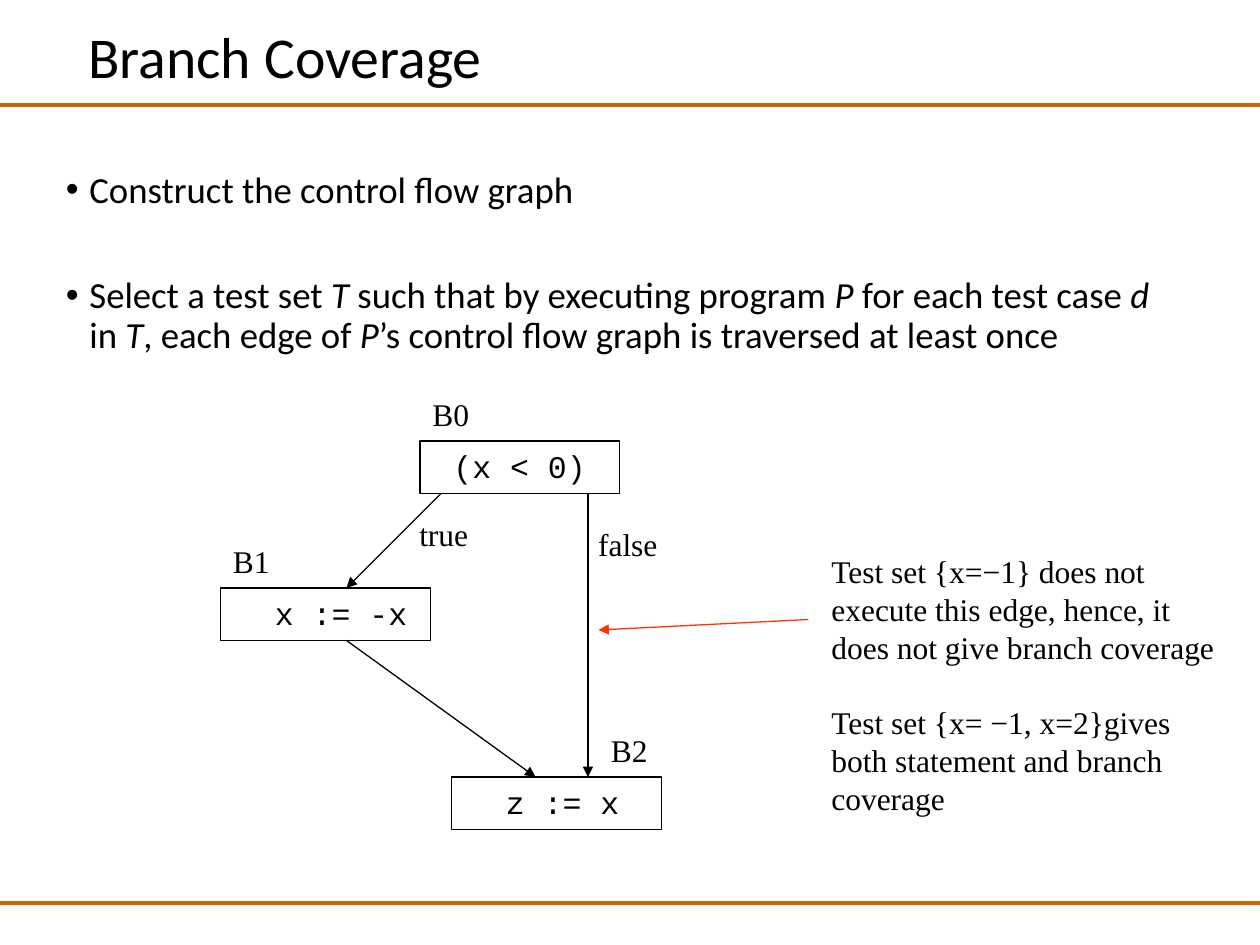
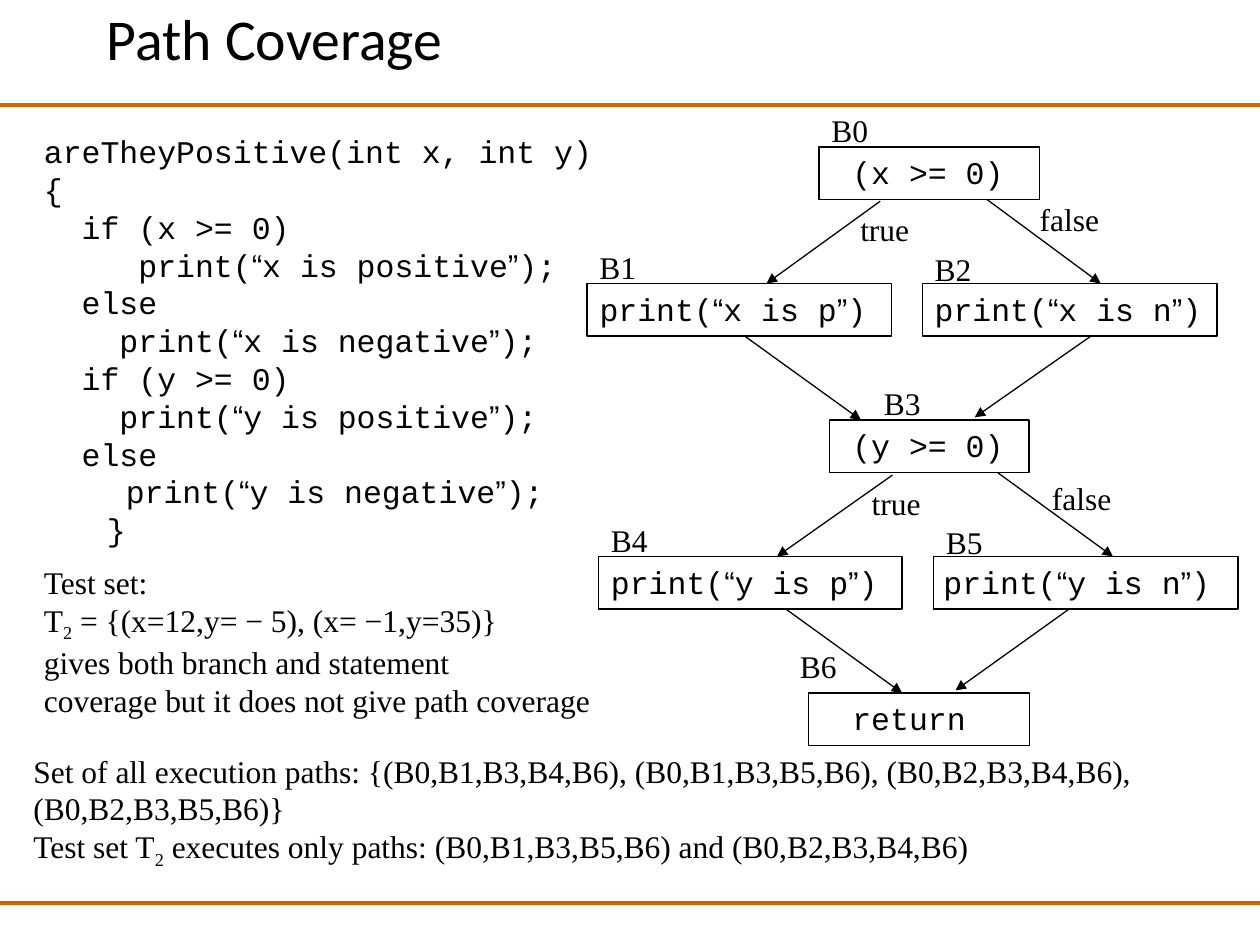
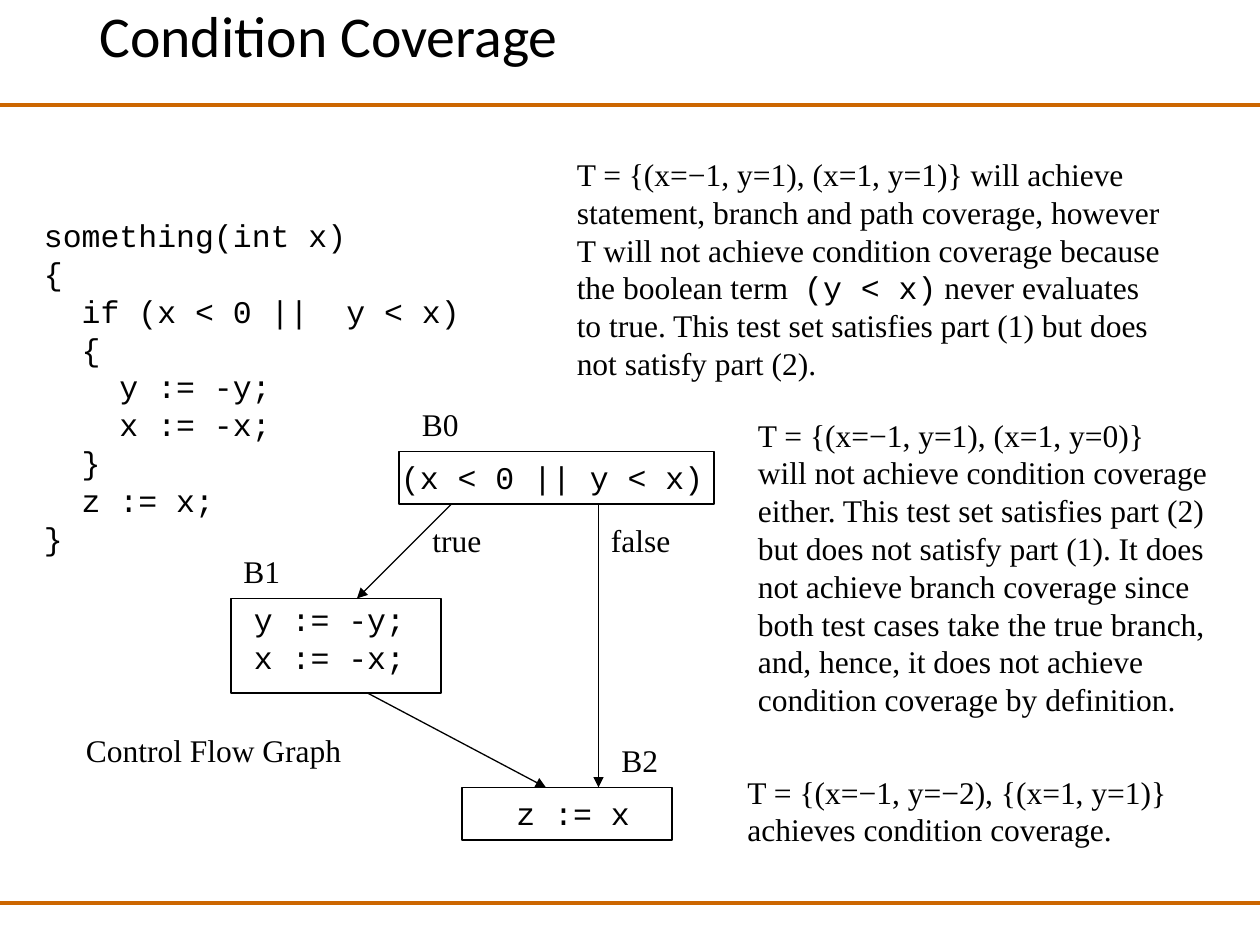
from itertools import groupby

from lxml import etree
from pptx import Presentation
from pptx.dml.color import RGBColor
from pptx.enum.shapes import MSO_CONNECTOR, MSO_SHAPE
from pptx.enum.text import MSO_ANCHOR, MSO_AUTO_SIZE
from pptx.oxml.ns import qn
from pptx.util import Pt

STRAIGHT, RECTANGLE = MSO_CONNECTOR.STRAIGHT, MSO_SHAPE.RECTANGLE
MIDDLE, TOP = MSO_ANCHOR.MIDDLE, MSO_ANCHOR.TOP
GROW, FIXED = MSO_AUTO_SIZE.SHAPE_TO_FIT_TEXT, MSO_AUTO_SIZE.NONE

WIDTH, HEIGHT = 720, 540
RULE_TOPS = (60, 516)
COLORS = {"ink": "000000", "rule": "CC6600", "warning": "FF3300"}
TITLE = {"name": "Calibri", "size": Pt(33)}
BODY = {"name": "Calibri", "size": Pt(21)}
NOTE = {"name": "Times New Roman", "size": Pt(18)}
CODE = {"name": "Courier New", "size": Pt(18)}
QUOTE = {"name": "Arial"}
ITALIC = {"italic": True}
SUBSCRIPT = {"baseline": "-25000"}
TIGHT = {"line_spacing": 0.9}
LEADING = {"line_spacing": Pt(21.6)}
SUBSCRIPT_GAP = {"space_before": Pt(3)}
CHARACTER = 10.8  # advance of one code character
INSET = 7.2
NODE_HEIGHT = LABEL_HEIGHT = 30


def code_spans(text):
    """Split code into spans, with curly quotes in their own font."""
    return [("".join(part), QUOTE if quoted else {})
            for quoted, part in groupby(text, lambda letter: letter in "“”")]


def code_line(text, columns=0, margin=0):
    """Return a code paragraph indented by a number of characters."""
    return code_spans(text), {"marL": margin + columns * CHARACTER}


class Sketch:
    """Holds the deck style and draws on the current page."""

    def __init__(self):
        """Start an empty deck."""
        self.deck = Presentation()
        self.deck.slide_width, self.deck.slide_height = Pt(WIDTH), Pt(HEIGHT)
        self.page = None

    def new_page(self, title, left, top, width=620.6, height=104.4):
        """Add a page with its two rules and its title."""
        self.page = self.deck.slides.add_slide(self.deck.slide_layouts[6])
        for rule_top in RULE_TOPS:
            self.line((0, rule_top), (WIDTH, rule_top), "rule", 2)
        self.text([title], left, top, width, height, TITLE, TIGHT,
                  anchor=MIDDLE, fit=FIXED)

    def line(self, start, end, color="ink", weight=0.75):
        """Draw a straight line without shadow."""
        line = self.page.shapes.add_connector(
            STRAIGHT, *(Pt(value) for value in (*start, *end)))
        line.line.color.rgb = RGBColor.from_string(COLORS[color])
        line.line.width = Pt(weight)
        etree.SubElement(line._element.spPr, qn("a:effectLst"))
        return line

    def arrow(self, start, end, color="ink"):
        """Draw a line with a triangle at its end."""
        outline = self.line(start, end, color).line._get_or_add_ln()
        etree.SubElement(outline, qn("a:tailEnd"), type="triangle")

    def text(self, paras, left, top, width, height, font=NOTE,
             spacing=LEADING, wrap=True, anchor=TOP, fit=GROW):
        """Add a text box; a para is a string, a span list or (spans, format)."""
        box = self.page.shapes.add_textbox(Pt(left), Pt(top), Pt(width), Pt(height))
        frame = box.text_frame
        frame.word_wrap, frame.vertical_anchor, frame.auto_size = wrap, anchor, fit
        for index, content in enumerate(paras):
            para = frame.add_paragraph() if index else frame.paragraphs[0]
            spans, layout = content if isinstance(content, tuple) else (content, {})
            self.layout(para, {**spacing, **layout})
            for span in [spans] if isinstance(spans, str) else spans:
                words, change = span if isinstance(span, tuple) else (span, {})
                self.span(para, words, {**font, **change})

    def layout(self, para, values):
        """Set spacing, indents and the bullet of a paragraph."""
        for key, value in values.items():
            if key in ("marL", "indent"):
                para._p.get_or_add_pPr().set(key, str(int(Pt(value))))
            elif key != "bullet":
                setattr(para, key, value)
        if "bullet" in values:
            properties = para._p.get_or_add_pPr()
            etree.SubElement(properties, qn("a:buFont"), typeface="Arial")
            etree.SubElement(properties, qn("a:buChar"), char=values["bullet"])

    def span(self, para, words, values):
        """Add a run with its font values."""
        run = para.add_run()
        run.text = words
        run.font.color.rgb = RGBColor.from_string(COLORS["ink"])
        for key, value in values.items():
            if key == "baseline":
                run._r.get_or_add_rPr().set(key, value)
            else:
                setattr(run.font, key, value)

    def label(self, words, left, top, width=36):
        """Add a short one-line label."""
        self.text([words], left, top, width, LABEL_HEIGHT, wrap=False)

    def branches(self, true_at, false_at):
        """Label the two ways out of a decision."""
        self.label("true", *true_at, width=43)
        self.label("false", *false_at, width=49)

    def node(self, name, lines, left, top, width, height=NODE_HEIGHT,
             code_shift=(0, 0), name_shift=(0, -30)):
        """Draw a flow graph block with its code and its name."""
        box = self.page.shapes.add_shape(
            RECTANGLE, Pt(left), Pt(top), Pt(width), Pt(height))
        box.shadow.inherit = False
        box.fill.background()
        box.line.color.rgb = RGBColor.from_string(COLORS["ink"])
        box.line.width = Pt(0.75)
        code_width = max(map(len, lines)) * CHARACTER + 2 * INSET
        self.text([code_spans(line) for line in lines], left + code_shift[0],
                  top + code_shift[1], code_width, 21.6 * len(lines) + INSET,
                  CODE, wrap=False)
        self.label(name, left + name_shift[0], top + name_shift[1])


def branch_page(sketch):
    """Build the page on branch coverage."""
    sketch.new_page("Branch Coverage", 43.4, -18)
    bullet = {"bullet": "•", "marL": 13.5, "indent": -13.5}
    sketch.text([
        ("Construct the control flow graph", {**bullet, "space_before": Pt(7.5)}),
        (["Select a test set ", ("T", ITALIC), " such that by executing program",
          (" P", ITALIC), " for each test case ", ("d", ITALIC), " in ",
          ("T", ITALIC), ", each edge of ", ("P", ITALIC),
          "’s control flow graph is traversed at least once"],
         {**bullet, "space_before": Pt(37.5)}),
    ], 30.5, 94.5, 647.3, 155.5, BODY, TIGHT, fit=FIXED)
    sketch.node("B0", ["(x < 0)"], 240, 252, 114, code_shift=(12, 0))
    sketch.node("B1", ["x := -x"], 126, 336, 120, code_shift=(24, 0))
    sketch.node("B2", ["z := x"], 258, 444, 120, code_shift=(24, 0),
                name_shift=(84, -30))
    sketch.arrow((252, 282), (198, 336))
    sketch.arrow((198, 366), (306, 444))
    sketch.arrow((336, 282), (336, 444))
    sketch.arrow((462, 354), (342, 360), "warning")
    sketch.branches((232.5, 291), (334.7, 296.7))
    sketch.text([
        "Test set {x=−1} does not",
        "execute this edge, hence, it",
        "does not give branch coverage",
        ("Test set {x= −1, x=2}gives", {"space_before": Pt(21.6)}),
        "both statement and branch",
        "coverage",
    ], 468, 312, 233.3, 158.4, wrap=False)


def path_page(sketch):
    """Build the page on path coverage."""
    sketch.new_page("Path Coverage", 54, 0, 612, 48)
    sketch.text([
        code_line("areTheyPositive(int x, int y)"),
        code_line("{"),
        code_line("if (x >= 0)", 2),
        code_line("print(“x is positive”);", 5),
        code_line("else", 2),
        code_line("print(“x is negative”);", 4),
        code_line("if (y >= 0)", 2),
        code_line("print(“y is positive”);", 4),
        code_line("else", 2),
        code_line("print(“y is negative”);", 1, margin=36),
        code_line("}", margin=36),
    ], 18, 72, 360, 266.4, CODE)

    near, far = (0, -24), (0, -22.5)
    sketch.node("B0", ["(x >= 0)"], 468, 84, 126, code_shift=(12, 0), name_shift=near)
    sketch.node("B1", ["print(“x is p”)"], 335.5, 162, 174, name_shift=near)
    sketch.node("B2", ["print(“x is n”)"], 527, 162, 168.5, name_shift=far)
    sketch.node("B3", ["(y >= 0)"], 474, 240, 114, code_shift=(6, 0),
                name_shift=(24, -24))
    sketch.node("B4", ["print(“y is p”)"], 342, 318, 173.5, name_shift=near)
    sketch.node("B5", ["print(“y is n”)"], 533.5, 318, 174, code_shift=(-1.5, 0),
                name_shift=far)
    sketch.node("B6", ["return"], 462, 396, 126.5, code_shift=(18, 0),
                name_shift=(-12, -30))
    for start, end in (
            ((503, 115), (438, 162)), ((564, 114), (629, 162)),
            ((425.5, 192), (492, 240)), ((623.5, 192), (557, 238.5)),
            ((510, 271.5), (444, 318)), ((570, 270), (636, 318)),
            ((449, 348), (515.5, 396)), ((611, 348), (546, 394.5))):
        sketch.arrow(start, end)
    sketch.branches((484.5, 116.5), (587, 111))
    sketch.branches((491, 273), (594, 270))

    sketch.text([
        "Test set:",
        (["T", ("2", SUBSCRIPT), " = {(x=12,y= − 5), (x= −1,y=35)}"],
         SUBSCRIPT_GAP),
        "gives both branch and statement",
        "coverage but it does not give path coverage",
    ], 18, 318, 360, 115.2)
    sketch.text([
        "Set of all execution paths: {(B0,B1,B3,B4,B6), (B0,B1,B3,B5,B6), "
        "(B0,B2,B3,B4,B6), (B0,B2,B3,B5,B6)}",
        (["Test set T", ("2", SUBSCRIPT),
          " executes only paths: (B0,B1,B3,B5,B6) and (B0,B2,B3,B4,B6)"],
         SUBSCRIPT_GAP),
    ], 12, 426, 732, 72)


def condition_page(sketch):
    """Build the page on condition coverage."""
    sketch.new_page("Condition Coverage", 49.7, -30.2)
    sketch.text([
        code_line("something(int x)"),
        code_line("{"),
        code_line("if (x < 0 ||  y < x)", 2),
        code_line("{", 2),
        code_line("y := -y;", 4),
        code_line("x := -x;", 4),
        code_line("}", 2),
        code_line("z := x;", 2),
        code_line("}"),
    ], 18, 120, 360, 201.6, CODE)
    sketch.text([
        "T = {(x=−1, y=1), (x=1, y=1)} will achieve",
        ["statement, branch and path coverage, however T will not achieve "
         "condition coverage because the boolean term  ", ("(y < x)", CODE),
         " never evaluates to true. This test set satisfies part (1) but does "
         "not satisfy part (2)."],
    ], 322.5, 85, 348, 136.8)

    sketch.node("B0", ["(x < 0 || y < x)"], 228, 258, 180, code_shift=(-6, 0),
                name_shift=(6, -30))
    sketch.node("B1", ["y := -y;", "x := -x;"], 132, 342, 120, 54,
                code_shift=(6, -2.4))
    sketch.node("B2", ["z := x"], 264, 450, 120, code_shift=(24, 0),
                name_shift=(84, -30))
    sketch.arrow((258, 288), (204, 342))
    sketch.arrow((210, 396), (312, 450))
    sketch.arrow((342, 288), (342, 450))
    sketch.branches((240, 294), (342, 294))
    sketch.label("Control Flow Graph", 42, 414, 161)

    sketch.text([
        "T = {(x=−1, y=1), (x=1, y=0)}",
        "will not achieve condition coverage either. This test set satisfies "
        "part (2) but does not satisfy part (1). It does not achieve branch "
        "coverage since both test cases take the true branch, and, hence, it "
        "does not achieve condition coverage by definition.",
    ], 426, 234, 276, 180)
    sketch.text([
        "T = {(x=−1, y=−2), {(x=1, y=1)}",
        "achieves condition coverage.",
    ], 420, 438, 276, 50.4)


sketch = Sketch()
for build in (branch_page, path_page, condition_page):
    build(sketch)
sketch.deck.save("out.pptx")
